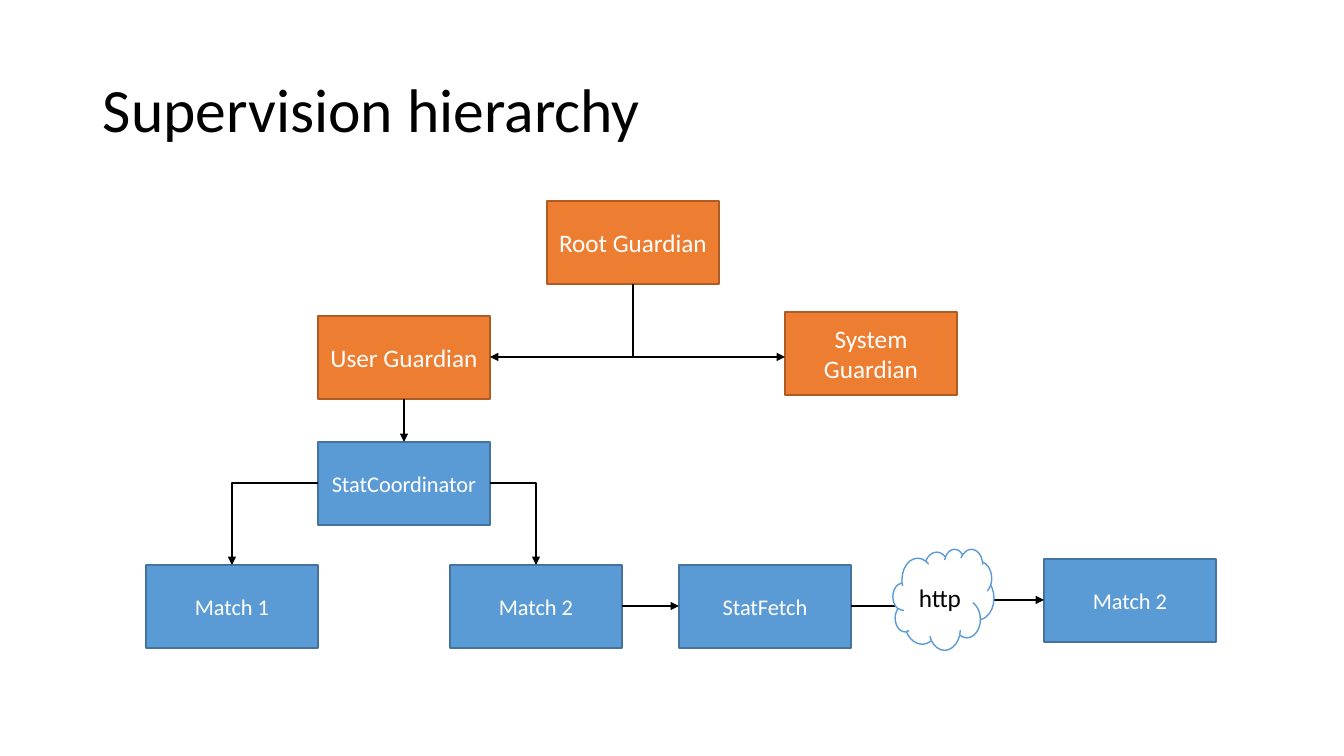
from dataclasses import dataclass

import pptx
import pptx.dml.color
import pptx.enum.shapes
import pptx.enum.text
import pptx.oxml
import pptx.oxml.ns
import pptx.shapes.autoshape
import pptx.util

RGBColor = pptx.dml.color.RGBColor
MSO_SHAPE = pptx.enum.shapes.MSO_SHAPE
PP_ALIGN = pptx.enum.text.PP_ALIGN

BLACK = RGBColor(0x00, 0x00, 0x00)
WHITE = RGBColor(0xFF, 0xFF, 0xFF)
ORANGE = RGBColor(0xED, 0x7D, 0x31)
DARK_ORANGE = RGBColor(0xAF, 0x5C, 0x24)
BLUE = RGBColor(0x5B, 0x9B, 0xD5)
DARK_BLUE = RGBColor(0x43, 0x73, 0x9E)

FONT = "Calibri"
PX_PER_INCH = 100.8


def px(n: int) -> int:
    return pptx.util.Inches(n / PX_PER_INCH)


@dataclass(frozen=True)
class Node:
    text: str
    x: int
    y: int
    fill: RGBColor = BLUE
    line: RGBColor = DARK_BLUE
    color: RGBColor = WHITE
    size: int = 16
    w: int = 172
    h: int = 83
    kind: MSO_SHAPE = MSO_SHAPE.RECTANGLE

    @property
    def right(self) -> int:
        return self.x + self.w

    @property
    def bottom(self) -> int:
        return self.y + self.h

    @property
    def cx(self) -> int:
        return self.x + self.w // 2

    @property
    def cy(self) -> int:
        return self.y + self.h // 2


@dataclass(frozen=True)
class Link:
    start: tuple[int, int]
    end: tuple[int, int]
    preset: str = "straightConnector1"
    arrow: str = "tailEnd"


def guardian(text: str, x: int, y: int) -> Node:
    return Node(text, x, y, ORANGE, DARK_ORANGE, size=18)


def set_text(sp: pptx.shapes.autoshape.Shape, text: str, size: int,
             color: RGBColor, align: PP_ALIGN) -> None:
    tf = sp.text_frame
    tf.word_wrap = True
    tf.vertical_anchor = pptx.enum.text.MSO_ANCHOR.MIDDLE
    p = tf.paragraphs[0]
    p.text = text
    p.alignment = align
    p.font.name = FONT
    p.font.size = pptx.util.Pt(size)
    p.font.color.rgb = color


def add_node(shapes, node: Node) -> None:
    sp = shapes.add_shape(node.kind, px(node.x), px(node.y), px(node.w), px(node.h))
    sp.shadow.inherit = False
    sp.fill.solid()
    sp.fill.fore_color.rgb = node.fill
    sp.line.color.rgb = node.line
    sp.line.width = pptx.util.Pt(1)
    set_text(sp, node.text, node.size, node.color, PP_ALIGN.CENTER)


def add_link(shapes, link: Link) -> None:
    ends = [px(n) for n in link.start + link.end]
    cxn = shapes.add_connector(pptx.enum.shapes.MSO_CONNECTOR.STRAIGHT, *ends)
    cxn.line.color.rgb = BLACK
    cxn.line.width = pptx.util.Pt(1)
    qn = pptx.oxml.ns.qn
    sp_pr = cxn._element.spPr
    sp_pr.find(qn("a:prstGeom")).set("prst", link.preset)
    ns = pptx.oxml.ns.nsdecls("a")
    arrow = pptx.oxml.parse_xml(f'<a:{link.arrow} {ns} type="triangle"/>')
    sp_pr.find(qn("a:ln")).append(arrow)
    sp_pr.append(pptx.oxml.parse_xml(f"<a:effectLst {ns}/>"))


# Actors
ROOT = guardian("Root Guardian", 547, 201)
USER = guardian("User Guardian", 318, 316)
SYSTEM = guardian("System Guardian", 785, 312)
COORDINATOR = Node("StatCoordinator", 318, 442)
MATCH_1 = Node("Match 1", 146, 565)
MATCH_2 = Node("Match 2", 450, 565)
FETCH = Node("StatFetch", 679, 565)
REMOTE = Node("Match 2", 1044, 559)
HTTP = Node("http", 893, 549, WHITE, BLUE, BLACK, 18, 101, 101, MSO_SHAPE.CLOUD)

NODES = [ROOT, USER, SYSTEM, COORDINATOR, MATCH_1, MATCH_2, FETCH, REMOTE]

# Corner links leave their start sideways and turn once
LINKS = [
    Link((USER.right, USER.cy), (ROOT.cx, ROOT.bottom), "bentConnector2", "headEnd"),
    Link((ROOT.cx, USER.cy), (SYSTEM.x, USER.cy)),
    Link((USER.cx, USER.bottom), (COORDINATOR.cx, COORDINATOR.y)),
    Link((COORDINATOR.x, COORDINATOR.cy), (MATCH_1.cx, MATCH_1.y), "bentConnector2"),
    Link((COORDINATOR.right, COORDINATOR.cy), (MATCH_2.cx, MATCH_2.y), "bentConnector2"),
    Link((MATCH_2.right, MATCH_2.cy), (FETCH.x, FETCH.cy)),
    Link((FETCH.right, FETCH.cy), (REMOTE.x, REMOTE.cy), "bentConnector3"),
]


def main() -> None:
    prs = pptx.Presentation()
    prs.slide_width = px(1344)
    prs.slide_height = px(756)
    shapes = prs.slides.add_slide(prs.slide_layouts[6]).shapes

    # Title
    title = shapes.add_textbox(px(93), px(40), px(1159), px(146))
    set_text(title, "Supervision hierarchy", 44, BLACK, PP_ALIGN.LEFT)
    title.text_frame.paragraphs[0].line_spacing = 0.9

    # Hierarchy, with the cloud covering the link behind it
    for node in NODES:
        add_node(shapes, node)
    for link in LINKS:
        add_link(shapes, link)
    add_node(shapes, HTTP)

    prs.save("out.pptx")


if __name__ == "__main__":
    main()
